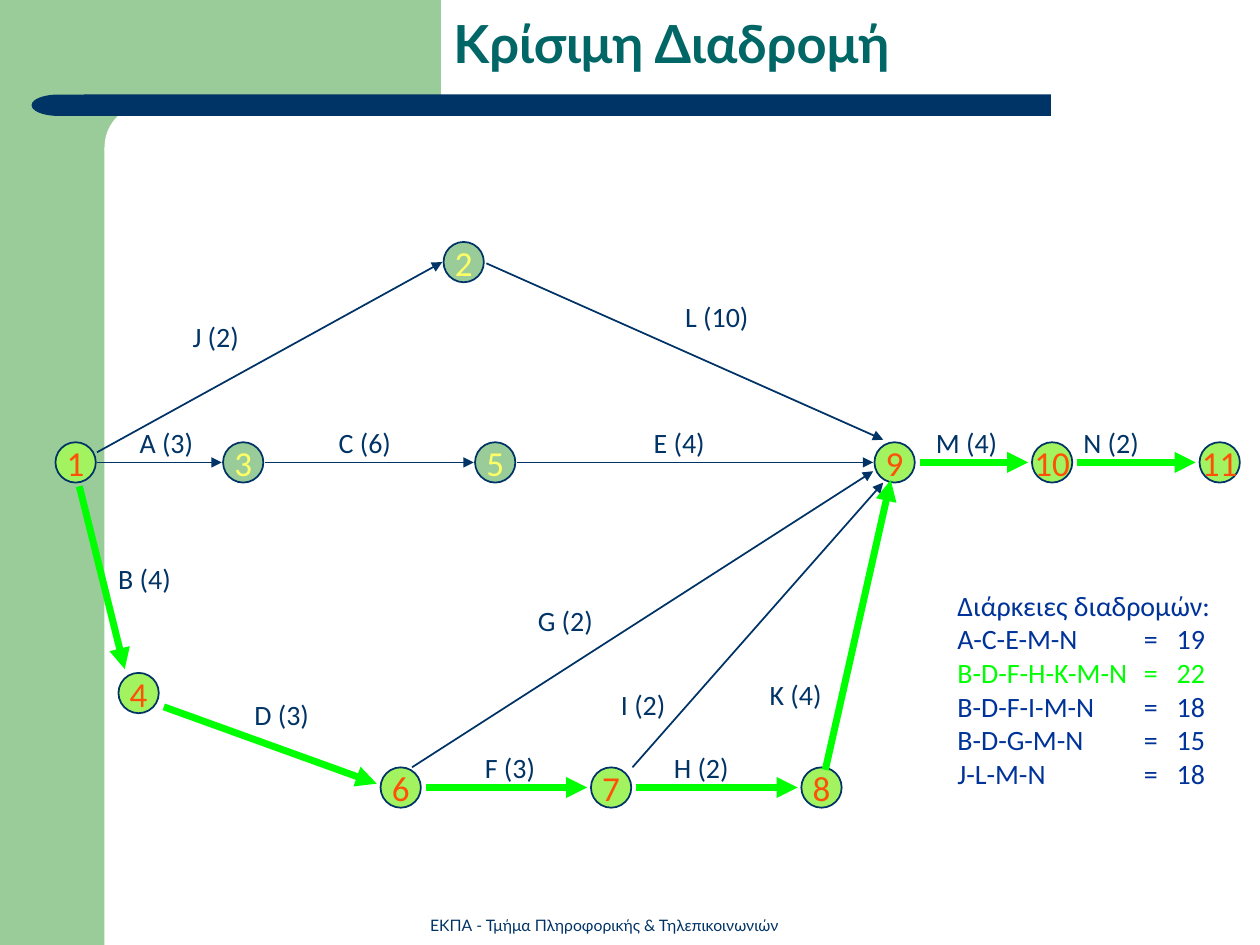
from lxml import etree
from pptx import Presentation
from pptx.dml.color import RGBColor
from pptx.enum.shapes import MSO_CONNECTOR, MSO_SHAPE
from pptx.enum.text import MSO_ANCHOR, PP_ALIGN
from pptx.oxml.ns import qn
from pptx.util import Inches, Pt

WHITE = RGBColor(0xFF, 0xFF, 0xFF)
NAVY = RGBColor(0x00, 0x33, 0x66)
BLUE = RGBColor(0x00, 0x33, 0x99)
TEAL = RGBColor(0x00, 0x66, 0x66)
SAGE = RGBColor(0x99, 0xCC, 0x99)
LIME = RGBColor(0xA3, 0xF2, 0x5F)
GREEN = RGBColor(0x00, 0xFF, 0x00)
ORANGE = RGBColor(0xFF, 0x50, 0x08)
YELLOW = RGBColor(0xFF, 0xFF, 0x66)

DIAMETER = 0.32
LABEL_HEIGHT = 0.36
TOP_ROW, MIDDLE_ROW, LOWER_ROW, BOTTOM_ROW = 0.16, 1.75, 3.58, 4.33

NODES = {
    1: (0.16, MIDDLE_ROW), 2: (3.24, TOP_ROW), 3: (1.49, MIDDLE_ROW),
    4: (0.66, LOWER_ROW), 5: (3.49, MIDDLE_ROW), 6: (2.74, BOTTOM_ROW),
    7: (4.41, BOTTOM_ROW), 8: (6.08, BOTTOM_ROW), 9: (6.66, MIDDLE_ROW),
    10: (7.91, MIDDLE_ROW), 11: (9.24, MIDDLE_ROW),
}
CRITICAL_NODES = {1, 4, 6, 7, 8, 9, 10, 11}
CRITICAL_TASKS = set("BDFHKMN")

THIN = ((0.17, 0), (-0.17, 0))
THICK = ((0.2, 0), (-0.19, 0))

# task, duration, start node, end node, offsets from node centres, label left, top, width
TASKS = [
    ("A", 3, 1, 3, THIN, (0.57, 1.41, 0.66)),
    ("J", 2, 1, 2, ((0.17, -0.08), (-0.17, 0)), (0.99, 0.57, 0.58)),
    ("B", 4, 1, 4, ((0.03, 0.19), (-0.11, -0.19)), (0.4, 2.49, 0.66)),
    ("D", 3, 4, 6, ((0.2, 0.11), (-0.19, -0.03)), (1.48, 3.57, 0.68)),
    ("C", 6, 3, 5, THIN, (2.15, 1.41, 0.66)),
    ("F", 3, 6, 7, THICK, (3.31, 3.99, 0.63)),
    ("H", 2, 7, 8, THICK, (4.81, 3.99, 0.68)),
    ("G", 2, 6, 9, ((0.09, -0.16), (-0.17, 0.07)), (3.73, 2.82, 0.68)),
    ("E", 4, 5, 9, THIN, (4.65, 1.41, 0.64)),
    ("I", 2, 7, 9, ((0.17, -0.16), (-0.09, 0.16)), (4.39, 3.49, 0.59)),
    ("K", 4, 8, 9, ((0.03, -0.14), (-0.03, 0.14)), (5.57, 3.41, 0.65)),
    ("L", 10, 2, 9, ((0.18, 0.01), (-0.09, -0.18)), (4.9, 0.41, 0.76)),
    ("M", 4, 9, 10, THICK, (6.89, 1.41, 0.72)),
    ("N", 2, 10, 11, THICK, (8.06, 1.41, 0.68)),
]
ROUTES = [
    ("A-C-E-M-N", 19), ("B-D-F-H-K-M-N", 22), ("B-D-F-I-M-N", 18),
    ("B-D-G-M-N", 15), ("J-L-M-N", 18),
]
CRITICAL_ROUTE = "B-D-F-H-K-M-N"


def add_run(paragraph, text, size, color, font="Calibri", bold=False):
    """Append one formatted run."""
    run = paragraph.add_run()
    run.text = text
    run.font.size = Pt(size)
    run.font.bold = bold
    run.font.color.rgb = color
    run.font.name = font
    return run


def add_text_frame(slide, box, wrap=True, anchor=MSO_ANCHOR.TOP):
    """Add a text box and return its frame."""
    frame = slide.shapes.add_textbox(*map(Inches, box)).text_frame
    frame.word_wrap = wrap
    frame.vertical_anchor = anchor
    return frame


def add_filled(slide, kind, box, fill, outline=None):
    """Add a flat preset shape with an optional outline."""
    shape = slide.shapes.add_shape(kind, *map(Inches, box))
    shape.shadow.inherit = False
    shape.fill.solid()
    shape.fill.fore_color.rgb = fill
    if outline is None:
        shape.line.fill.background()
    else:
        shape.line.color.rgb = outline
        shape.line.width = Pt(1)
    return shape


def add_arrow(slide, start, end, color, width):
    """Add a straight connector with a triangular head."""
    arrow = slide.shapes.add_connector(
        MSO_CONNECTOR.STRAIGHT, *map(Inches, (*start, *end)))
    arrow.line.color.rgb = color
    arrow.line.width = Pt(width)
    etree.SubElement(arrow.line._get_or_add_ln(), qn("a:tailEnd"), type="triangle")
    etree.SubElement(arrow._element.spPr, qn("a:effectLst"))


def add_backdrop(slide, box):
    """Place the green panels and the navy bar."""
    left, top, _, height = box
    parts = [
        (MSO_SHAPE.RECTANGLE, (0, 0, 0.83, height), SAGE),
        (MSO_SHAPE.RECTANGLE, (0.75, 0, 2.75, 1.17), SAGE),
        (MSO_SHAPE.ROUNDED_RECTANGLE, (0.83, 0.83, 5.58, 0.67), WHITE),
        (MSO_SHAPE.RECTANGLE, (0.67, 0.75, 7.67, 0.17), NAVY),
        (MSO_SHAPE.FLOWCHART_DELAY, (0.25, 0.75, 0.43, 0.17), NAVY),
    ]
    for kind, (x, y, width, part_height), fill in parts:
        shape = add_filled(slide, kind, (left + x, top + y, width, part_height), fill)
        if kind == MSO_SHAPE.ROUNDED_RECTANGLE:
            shape.adjustments[0] = 0.5
        elif kind == MSO_SHAPE.FLOWCHART_DELAY:
            shape.rotation = 180


def add_title(slide, box):
    """Place the shadowed heading."""
    paragraph = add_text_frame(slide, box, anchor=MSO_ANCHOR.MIDDLE).paragraphs[0]
    run = add_run(paragraph, "Κρίσιμη Διαδρομή", 30, TEAL, "Lato", True)
    effects = etree.Element(qn("a:effectLst"))
    shadow = etree.SubElement(
        effects, qn("a:outerShdw"), dist="17961", dir="2700000")
    etree.SubElement(shadow, qn("a:srgbClr"), val=str(NAVY))
    run.font._element.find(qn("a:solidFill")).addnext(effects)


def add_footer(slide, box):
    """Place the centred department line."""
    paragraph = add_text_frame(slide, box, anchor=MSO_ANCHOR.BOTTOM).paragraphs[0]
    paragraph.alignment = PP_ALIGN.CENTER
    add_run(paragraph, "ΕΚΠΑ - Τμήμα Πληροφορικής & Τηλεπικοινωνιών", 9, NAVY, "Lato")


def add_network(slide, box):
    """Place the numbered nodes, task arrows and task labels."""
    left, top = box[:2]
    centres = {number: (left + x, top + y) for number, (x, y) in NODES.items()}
    for number, (x, y) in centres.items():
        critical = number in CRITICAL_NODES
        node_box = (x - DIAMETER / 2, y - DIAMETER / 2, DIAMETER, DIAMETER)
        node = add_filled(slide, MSO_SHAPE.OVAL, node_box, LIME if critical else SAGE, NAVY)
        node.text_frame.word_wrap = False
        node.text_frame.vertical_anchor = MSO_ANCHOR.MIDDLE
        paragraph = node.text_frame.paragraphs[0]
        paragraph.alignment = PP_ALIGN.CENTER
        add_run(paragraph, str(number), 20, ORANGE if critical else YELLOW)
    for task, duration, first, last, offsets, (x, y, width) in TASKS:
        start, end = [
            (centres[number][0] + dx, centres[number][1] + dy)
            for number, (dx, dy) in zip((first, last), offsets)]
        critical = task in CRITICAL_TASKS
        add_arrow(slide, start, end, GREEN if critical else NAVY, 4 if critical else 1)
        label_box = (left + x, top + y, width, LABEL_HEIGHT)
        frame = add_text_frame(slide, label_box, wrap=False)
        add_run(frame.paragraphs[0], f"{task} ({duration})", 16, NAVY)


def add_durations(slide, box):
    """Place the list of route durations, aligned by tab stops."""
    frame = add_text_frame(slide, box)
    add_run(frame.paragraphs[0], "Διάρκειες διαδρομών:", 16, BLUE)
    for route, duration in ROUTES:
        paragraph = frame.add_paragraph()
        tabs = etree.SubElement(paragraph._p.get_or_add_pPr(), qn("a:tabLst"))
        for position in (1.48, 1.74):
            etree.SubElement(tabs, qn("a:tab"), pos=str(Inches(position)), algn="l")
        color = GREEN if route == CRITICAL_ROUTE else BLUE
        add_run(paragraph, f"{route}\t=\t{duration}", 16, color)


def main():
    """Build and save the slide."""
    presentation = Presentation()
    presentation.slide_width = Inches(10)
    presentation.slide_height = Inches(7.5)
    slide = presentation.slides.add_slide(presentation.slide_layouts[6])
    add_backdrop(slide, (0, 0, 10, 7.5))
    add_footer(slide, (3.21, 7.22, 3.17, 0.25))
    add_network(slide, (0.44, 1.92, 9.4, 4.49))
    add_title(slide, (3.5, 0, 6, 0.67))
    add_durations(slide, (7.5, 4.62, 2.49, 1.7))
    presentation.save("out.pptx")


if __name__ == "__main__":
    main()
